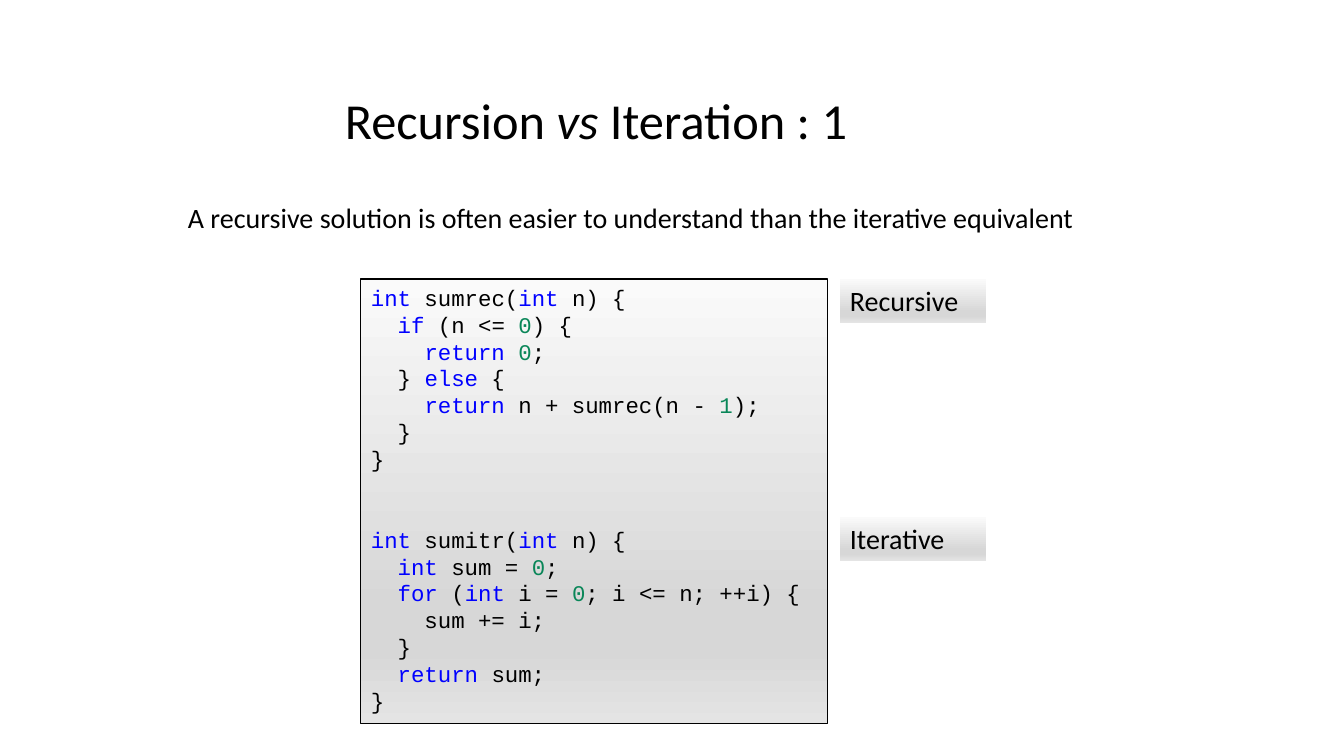
import itertools

import lxml.etree
import pptx
import pptx.dml.color
import pptx.enum.shapes
import pptx.enum.text
import pptx.oxml
import pptx.oxml.ns
import pptx.util

Color = pptx.dml.color.RGBColor
BLACK = Color(0x00, 0x00, 0x00)
BLUE = Color(0x00, 0x00, 0xFF)
GREEN = Color(0x09, 0x86, 0x58)
STOPS = [
    (0, Color(0xFA, 0xFA, 0xFA)),
    (74, Color(0xD7, 0xD7, 0xD7)),
    (83, Color(0xD7, 0xD7, 0xD7)),
    (100, Color(0xE4, 0xE4, 0xE4)),
]

TITLE = [("Recursion ", {}), ("vs", {"italic": True}), (" Iteration : 1", {})]
CLAIM = "A recursive solution is often easier to understand than the iterative equivalent"
WORDS = {"int", "if", "else", "return", "for"}
CODE = [
    """int sumrec(int n) {
  if (n <= 0) {
    return 0;
  } else {
    return n + sumrec(n - 1);
  }
}""",
    """int sumitr(int n) {
  int sum = 0;
  for (int i = 0; i <= n; ++i) {
    sum += i;
  }
  return sum;
}""",
]
LABELS = [("Recursive", 279), ("Iterative", 517)]

SCALE = 914400 / 100.8
LEAD = 19.2


def px(n):
    return pptx.util.Emu(round(n * SCALE))


def paint(line):
    """Split a line of code into coloured runs."""
    runs = []
    for _, part in itertools.groupby(line, str.isalnum):
        word = "".join(part)
        color = BLUE if word in WORDS else GREEN if word.isdigit() else BLACK
        runs.append((word, {"color": color}))
    return runs


def write(shape, lines, size=20, font="Calibri", lead=None, gaps=()):
    """Fill a shape with lines, each a list of runs; gaps maps line to space before."""
    frame = shape.text_frame
    frame.word_wrap = True
    frame.vertical_anchor = pptx.enum.text.MSO_ANCHOR.TOP
    for i, runs in enumerate(lines):
        para = frame.paragraphs[0] if i == 0 else frame.add_paragraph()
        para.alignment = pptx.enum.text.PP_ALIGN.LEFT
        if lead:
            para.line_spacing = pptx.util.Pt(lead)
        if i in gaps:
            para.space_before = pptx.util.Pt(gaps[i])
        for text, style in runs:
            run = para.add_run()
            run.text = text
            run.font.name = font
            run.font.size = pptx.util.Pt(size)
            run.font.italic = style.get("italic")
            run.font.color.rgb = style.get("color", BLACK)


def panel(slide, *box):
    """Add a rectangle with the grey gradient and no line."""
    shape = slide.shapes.add_shape(
        pptx.enum.shapes.MSO_SHAPE.RECTANGLE, *map(px, box))
    shape.shadow.inherit = False
    shape.line.fill.background()
    shape.fill.gradient()
    shape.fill.gradient_angle = 270
    qn = pptx.oxml.ns.qn
    stops = shape.fill._fill._gradFill.find(qn("a:gsLst"))
    for stop in list(stops):
        stops.remove(stop)
    for pos, color in STOPS:
        stop = lxml.etree.SubElement(stops, qn("a:gs"), pos=str(pos * 1000))
        lxml.etree.SubElement(stop, qn("a:srgbClr"), val=str(color))
    return shape


def main():
    deck = pptx.Presentation()
    deck.slide_width, deck.slide_height = px(1344), px(756)
    slide = deck.slides.add_slide(deck.slide_layouts[6])

    title = slide.shapes.add_textbox(*map(px, (335, 84, 663, 72)))
    write(title, [TITLE], size=36)
    claim = slide.shapes.add_textbox(*map(px, (178, 196, 952, 44)))
    write(claim, [[(CLAIM, {})]])

    blocks = [code.split("\n") for code in CODE]
    lines = [paint(line) for block in blocks for line in block]
    code = panel(slide, 361, 279, 467, 445)
    code.line.color.rgb = BLACK
    code.line.width = pptx.util.Pt(0.75)
    write(code, lines, size=16, font="Courier New", lead=LEAD,
          gaps={len(blocks[0]): 2 * LEAD})

    for text, top in LABELS:
        write(panel(slide, 840, top, 146, 44), [[(text, {})]])

    deck.save("out.pptx")


if __name__ == "__main__":
    main()
